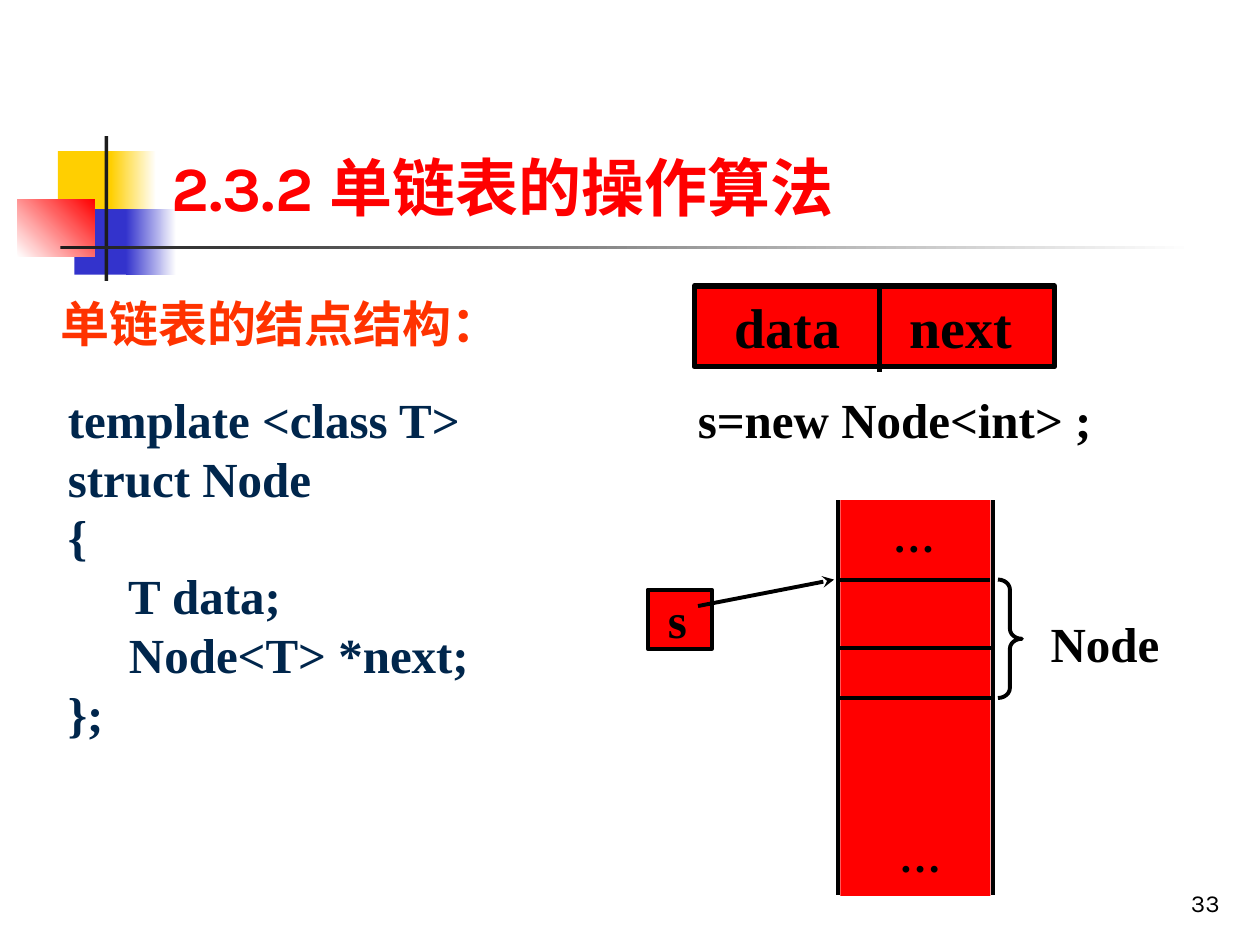
"""Builds the slide on the node structure of a singly linked list."""
import pptx
import pptx.dml.color
import pptx.enum.shapes
import pptx.enum.text
import pptx.oxml.ns
import pptx.util
from lxml import etree

Inches = pptx.util.Inches
Pt = pptx.util.Pt
Shape = pptx.enum.shapes.MSO_SHAPE
Anchor = pptx.enum.text.MSO_ANCHOR
Align = pptx.enum.text.PP_ALIGN
qn = pptx.oxml.ns.qn

THEME = {
    "red": "FF0000", "orange": "FF3300", "yellow": "FFCF01", "blue": "3333CC",
    "navy": "00264C", "black": "000000", "rule": "1C1C1C", "white": "FFFFFF",
    "serif": "Times New Roman", "sans": "Arial", "display": "Karla",
    "title": 36, "cells": 32, "body": 28, "dots": 24, "number": 14,
    "thick": 3, "thin": 2.25,
}


def rgb(name):
    return pptx.dml.color.RGBColor.from_string(THEME[name])


def write(holder, text, size="body", color="black", face="serif", italic=False,
          anchor=Anchor.TOP, align=Align.LEFT, spacing=None, insets=(0.1, 0.05, 0.1, 0.05)):
    frame = holder.text_frame
    left, top, right, bottom = map(Inches, insets)
    frame_format = {"word_wrap": True, "vertical_anchor": anchor, "margin_left": left,
                    "margin_top": top, "margin_right": right, "margin_bottom": bottom}
    for key, value in frame_format.items():
        setattr(frame, key, value)
    frame.text = text
    font_format = {"size": Pt(THEME[size]), "name": THEME[face], "bold": size != "number",
                   "italic": italic}
    for paragraph in frame.paragraphs:
        paragraph.alignment = align
        paragraph.line_spacing = spacing
        for key, value in font_format.items():
            setattr(paragraph.font, key, value)
        paragraph.font.color.rgb = rgb(color)


deck = pptx.Presentation()
deck.slide_width, deck.slide_height = Inches(10), Inches(7.5)
slide = deck.slides.add_slide(deck.slide_layouts[6])
shapes = slide.shapes

blocks = {}
for part, box, colors, angle, border in [
    ("yellow square", (0.46, 1.2, 0.48, 0.52), ["yellow"], 0, None),
    ("yellow fade", (0.88, 1.2, 0.36, 0.52), ["yellow", "white"], 0, None),
    ("blue square", (0.59, 1.66, 0.46, 0.52), ["blue"], 0, None),
    ("blue fade", (1, 1.66, 0.4, 0.52), ["blue", "white"], 0, None),
    ("red fade", (0.14, 1.58, 0.61, 0.46), ["white", "red"], 45, None),
    ("upright rule", (0.83, 1.08, 0.03, 1.15), ["rule"], 0, None),
    ("title rule", (0.48, 1.95, 9, 0.03), ["rule", "white"], 0, None),
    ("node cells", (5.51, 2.27, 2.86, 0.64), ["red"], 0, "thick"),
    ("memory", (6.67, 3.97, 1.19, 3.14), ["red"], 0, None),
    ("pointer", (5.14, 4.68, 0.51, 0.47), ["red"], 0, "thin"),
]:
    block = blocks[part] = shapes.add_shape(Shape.RECTANGLE, *map(Inches, box))
    block.shadow.inherit = False
    if len(colors) == 1:
        block.fill.solid()
        block.fill.fore_color.rgb = rgb(colors[0])
    else:
        block.fill.gradient()
        block.fill.gradient_angle = angle
        for stop, color in zip(block.fill.gradient_stops, colors):
            stop.color.rgb = rgb(color)
    if border:
        block.line.color.rgb = rgb("black")
        block.line.width = Pt(THEME[border])
    else:
        block.line.fill.background()

write(blocks["node cells"], "data\tnext", size="cells", insets=(0.32, 0.05, 0.1, 0.05))
cell_format = blocks["node cells"].text_frame.paragraphs[0]._p.get_or_add_pPr()
tab_stops = etree.Element(qn("a:tabLst"))
etree.SubElement(tab_stops, qn("a:tab"), pos=str(Inches(1.39)), algn="l")
cell_format.insert(0, tab_stops)
write(blocks["pointer"], "s", insets=(0.16, 0, 0, 0))

for start, end, weight, arrow in [
    ((6.98, 2.27), (6.98, 2.95), "thick", False),
    ((6.65, 3.97), (6.65, 7.1), "thin", False),
    ((7.88, 3.97), (7.88, 7.1), "thin", False),
    ((5.54, 4.81), (6.62, 4.6), "thin", True),
    ((6.65, 4.6), (7.86, 4.6), "thin", False),
    ((6.67, 5.14), (7.87, 5.14), "thin", False),
    ((6.67, 5.54), (7.87, 5.54), "thin", False),
]:
    line = shapes.add_connector(pptx.enum.shapes.MSO_CONNECTOR.STRAIGHT,
                                *map(Inches, start + end))
    line.line.color.rgb = rgb("black")
    line.line.width = Pt(THEME[weight])
    if arrow:
        etree.SubElement(line.line._get_or_add_ln(), qn("a:tailEnd"), type="stealth")
    etree.SubElement(line._element.spPr, qn("a:effectLst"))

brace = shapes.add_shape(Shape.RIGHT_BRACE, *map(Inches, (7.92, 4.6, 0.19, 0.94)))
brace.shadow.inherit = False
brace.adjustments[0] = 0.42
brace.fill.background()
brace.line.color.rgb = rgb("black")
brace.line.width = Pt(THEME["thin"])

node_code = """template <class T>
struct Node
{
     T data;
     Node<T> *next;
};"""
dots = {"size": "dots", "italic": True, "spacing": 1.1}
for text, box, look in [
    ("2.3.2 单链表的操作算法", (1.26, 0.23, 8.52, 1.6),
     {"size": "title", "color": "red", "face": "display", "anchor": Anchor.BOTTOM}),
    ("单链表的结点结构：", (0.38, 2.23, 4.08, 0.72),
     {"color": "orange", "face": "sans", "anchor": Anchor.MIDDLE, "spacing": 0.9}),
    (node_code, (0.44, 3.04, 4.13, 2.9), {"color": "navy"}),
    ("s=new Node<int> ;", (5.44, 3.04, 3.74, 0.57), {}),
    ("…", (7, 3.96, 0.56, 0.54), dots),
    ("…", (7.05, 6.5, 0.56, 0.54), dots),
    ("Node", (8.24, 4.82, 1.18, 0.57), {}),
    ("33", (7.7, 6.83, 2.08, 0.5),
     {"size": "number", "face": "display", "anchor": Anchor.BOTTOM, "align": Align.RIGHT}),
]:
    write(shapes.add_textbox(*map(Inches, box)), text, **look)

deck.save("out.pptx")
